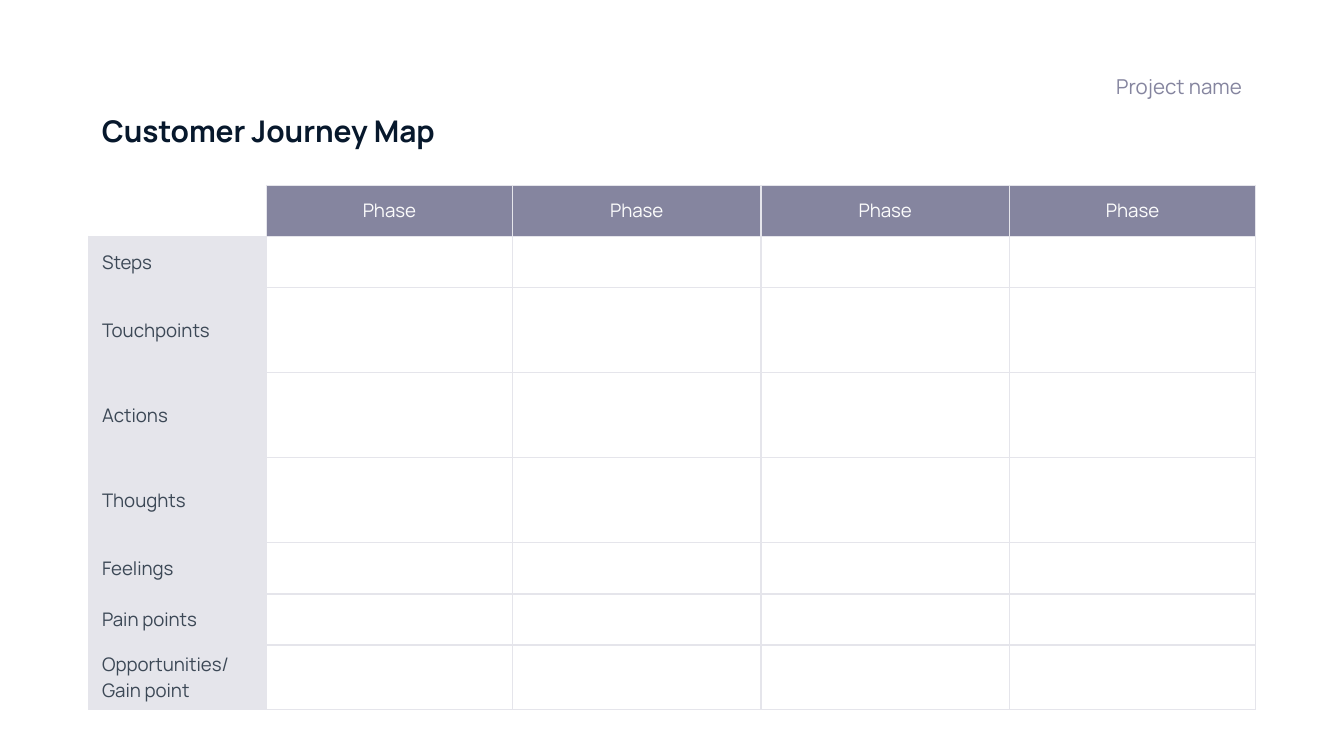
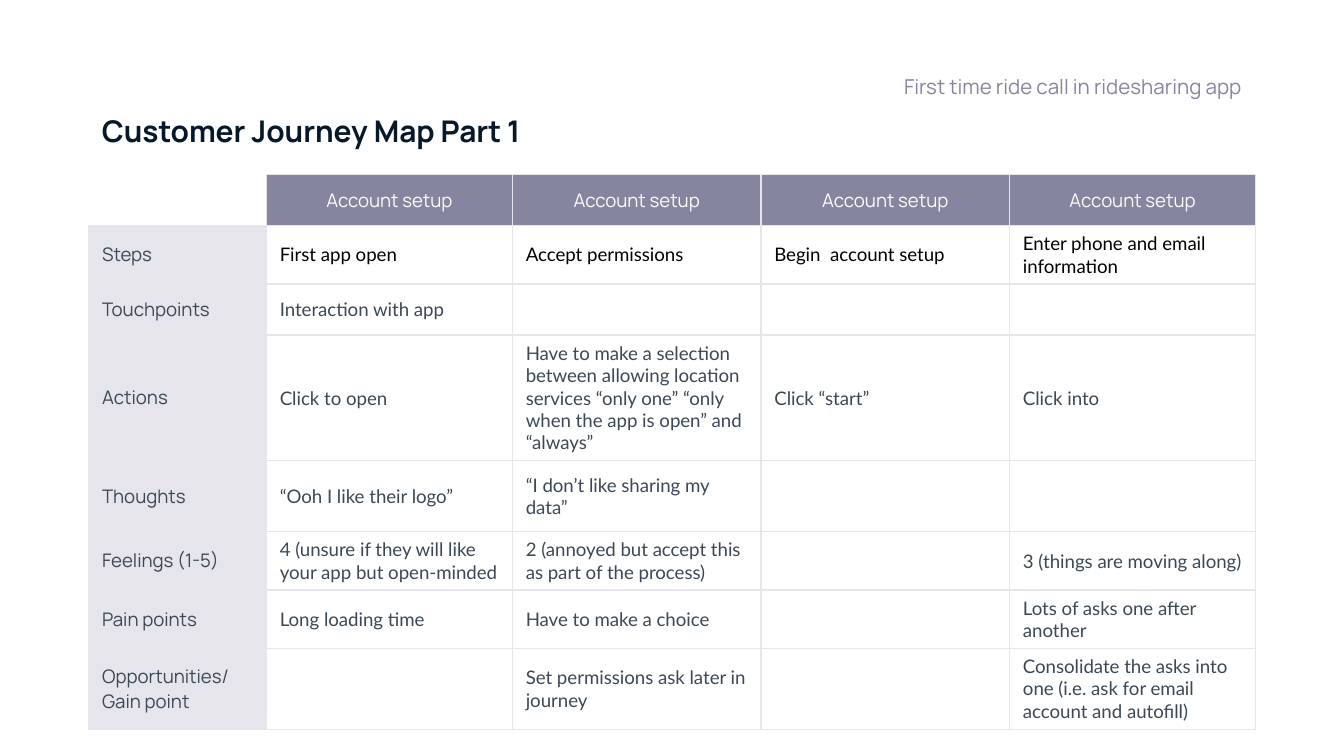
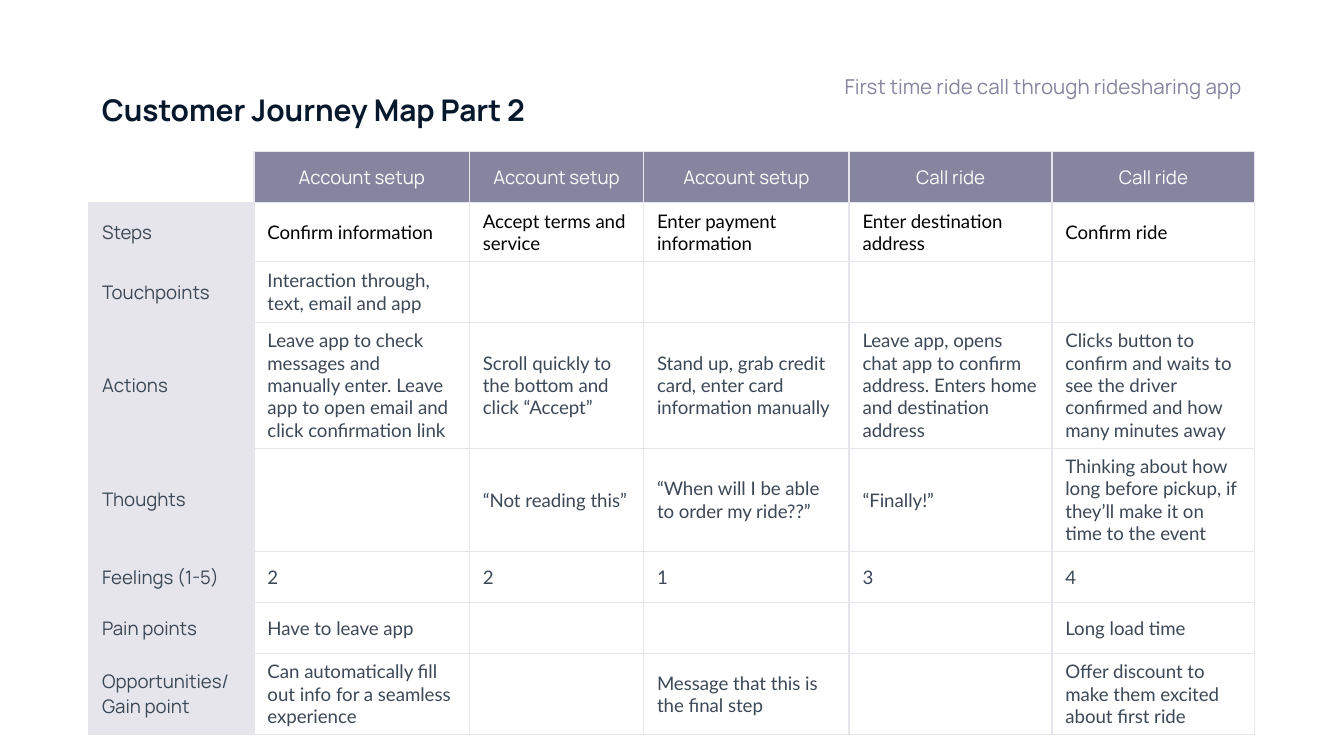
"""Build three customer journey map slides, each with a title, a project name and a table."""
import lxml.etree
import pptx
import pptx.dml.color
import pptx.enum.text
import pptx.oxml.ns
import pptx.util

Pt = pptx.util.Pt
RGBColor = pptx.dml.color.RGBColor
ALIGN = pptx.enum.text.PP_ALIGN
ANCHOR = pptx.enum.text.MSO_ANCHOR
qn = pptx.oxml.ns.qn

NAVY = RGBColor(0x07, 0x18, 0x2C)
PURPLE = RGBColor(0x85, 0x85, 0x9F)
PALE = RGBColor(0xE5, 0xE5, 0xEB)
SLATE = RGBColor(0x3C, 0x48, 0x56)
BLACK = RGBColor(0, 0, 0)
OFF_WHITE = RGBColor(0xFC, 0xFC, 0xFC)
HEAD_FONT, BODY_FONT = "Manrope", "Lato"
LEFT = 47.5
CELL_SIZE = 10
BORDER = 0.75

FOUR_PHASES = [95.2, 131.8, 133.2, 133.2, 131.8]
FIVE_PHASES = [88.6, 115.4, 93.3, 110.1, 108.7, 108.7]

MAPS = [
    {
        "title": "Customer Journey Map",
        "project": "Project name",
        "title_top": 53.3,
        "table_top": 99.3,
        "cols": FOUR_PHASES,
        "rows": [27.4, 27.4, 45.6, 45.6, 45.6, 27.4, 27.4, 34.6],
        "cells": [
            ["", "Phase", "Phase", "Phase", "Phase"],
            ["Steps", "", "", "", ""],
            ["Touchpoints", "", "", "", ""],
            ["Actions", "", "", "", ""],
            ["Thoughts", "", "", "", ""],
            ["Feelings", "", "", "", ""],
            ["Pain points", "", "", "", ""],
            ["Opportunities/Gain point", "", "", "", ""],
        ],
    },
    {
        "title": "Customer Journey Map Part 1",
        "project": "First time ride call in ridesharing app",
        "title_top": 53.3,
        "table_top": 93.5,
        "cols": FOUR_PHASES,
        "rows": [27.4, 31.2, 27.4, 67.2, 38, 31.2, 31.2, 43.2],
        "cells": [
            ["", "Account setup", "Account setup", "Account setup", "Account setup"],
            ["Steps", "First app open", "Accept permissions", "Begin  account setup",
             "Enter phone and email information"],
            ["Touchpoints", "Interaction with app", "", "", ""],
            ["Actions", "Click to open",
             "Have to make a selection between allowing location services “only one” "
             "“only when the app is open” and “always”",
             "Click “start”", "Click into"],
            ["Thoughts", "“Ooh I like their logo”", "“I don’t like sharing my data”", "", ""],
            ["Feelings (1-5)", "4 (unsure if they will like your app but open-minded",
             "2 (annoyed but accept this as part of the process)", "",
             "3 (things are moving along)"],
            ["Pain points", "Long loading time", "Have to make a choice", "",
             "Lots of asks one after another"],
            ["Opportunities/Gain point", "", "Set permissions ask later in journey", "",
             "Consolidate the asks into one (i.e. ask for email account and autofill)"],
        ],
    },
    {
        "title": "Customer Journey Map Part 2",
        "project": "First time ride call through ridesharing app",
        "title_top": 41.8,
        "table_top": 81.3,
        "cols": FIVE_PHASES,
        "rows": [27.4, 31.2, 32.9, 67.2, 55.2, 27.4, 27.4, 43.2],
        "cells": [
            ["", "Account setup", "Account setup", "Account setup", "Call ride", "Call ride"],
            ["Steps", "Confirm information", "Accept terms and service",
             "Enter payment information", "Enter destination address", "Confirm ride"],
            ["Touchpoints", "Interaction through, text, email and app", "", "", "", ""],
            ["Actions",
             "Leave app to check messages and manually enter. Leave app to open email "
             "and click confirmation link",
             "Scroll quickly to the bottom and click “Accept”",
             "Stand up, grab credit card, enter card information manually",
             "Leave app, opens chat app to confirm address. Enters home and destination address",
             "Clicks button to confirm and waits to see the driver confirmed "
             "and how many minutes away"],
            ["Thoughts", "", "“Not reading this”", "“When will I be able to order my ride??”",
             "“Finally!”",
             "Thinking about how long before pickup, if they’ll make it on time to the event"],
            ["Feelings (1-5)", "2", "2", "1", "3", "4"],
            ["Pain points", "Have to leave app", "", "", "", "Long load time"],
            ["Opportunities/Gain point",
             "Can automatically fill out info for a seamless experience", "",
             "Message that this is the final step", "",
             "Offer discount to make them excited about first ride"],
        ],
    },
]


def add_run(p, text, size, font, color, bold=False):
    r = p.add_run()
    r.text = text
    r.font.size = Pt(size)
    r.font.name = font
    r.font.bold = bold
    r.font.color.rgb = color


def add_heading(s, box, text, size, color, bold, align, anchor, bottom):
    sp = s.shapes.add_textbox(*map(Pt, box))
    tf = sp.text_frame
    tf.word_wrap = True
    tf.vertical_anchor = anchor
    tf.margin_left = tf.margin_right = tf.margin_top = Pt(7.2)
    tf.margin_bottom = Pt(bottom)
    p = tf.paragraphs[0]
    p.alignment = align
    add_run(p, text, size, HEAD_FONT, color, bold)


def set_borders(cell, sides):
    tc_pr = cell._tc.get_or_add_tcPr()
    for i, side in enumerate("LRTB"):
        ln = lxml.etree.Element(qn("a:ln" + side), w=str(Pt(BORDER)))
        if side in sides:
            fill = lxml.etree.SubElement(ln, qn("a:solidFill"))
            lxml.etree.SubElement(fill, qn("a:srgbClr"), val=str(PALE))
        else:
            lxml.etree.SubElement(ln, qn("a:noFill"))
        tc_pr.insert(i, ln)


def cell_style(row, col):
    """Return fill, font and text colour for a table cell."""
    if row == 0:
        return (PURPLE if col else None), HEAD_FONT, OFF_WHITE
    if col == 0:
        return PALE, HEAD_FONT, SLATE
    return None, BODY_FONT, BLACK if row == 1 else SLATE


def fill_cell(cell, text, row, col):
    fill, font, color = cell_style(row, col)
    if fill is None:
        cell.fill.background()
    else:
        cell.fill.solid()
        cell.fill.fore_color.rgb = fill
    set_borders(cell, "LRTB" if row or col else "RB")
    cell.vertical_anchor = ANCHOR.MIDDLE
    cell.margin_left = cell.margin_right = Pt(7.2)
    cell.margin_top = cell.margin_bottom = Pt(3.6)
    p = cell.text_frame.paragraphs[0]
    p.alignment = ALIGN.CENTER if row == 0 else ALIGN.LEFT
    if text:
        add_run(p, text, CELL_SIZE, font, color)
    else:
        lxml.etree.SubElement(p._p, qn("a:endParaRPr"), sz=str(CELL_SIZE * 100))


def add_journey_table(s, journey):
    cols, rows = journey["cols"], journey["rows"]
    box = (LEFT, journey["table_top"], sum(cols), sum(rows))
    table = s.shapes.add_table(len(rows), len(cols), *map(Pt, box)).table
    table.first_row = table.horz_banding = False
    for column, width in zip(table.columns, cols):
        column.width = Pt(width)
    for i, (height, texts) in enumerate(zip(rows, journey["cells"])):
        table.rows[i].height = Pt(height)
        for j, text in enumerate(texts):
            fill_cell(table.cell(i, j), text, i, j)


def main():
    prs = pptx.Presentation()
    prs.slide_width, prs.slide_height = Pt(720), Pt(405)
    for journey in MAPS:
        s = prs.slides.add_slide(prs.slide_layouts[6])
        add_heading(s, (LEFT, journey["title_top"], 467.3, 33.8), journey["title"],
                    16, NAVY, True, ALIGN.LEFT, ANCHOR.TOP, 7.2)
        add_heading(s, (360, 33.1, 312.5, 23.8), journey["project"],
                    11, PURPLE, False, ALIGN.RIGHT, ANCHOR.BOTTOM, 4.3)
        add_journey_table(s, journey)
    prs.save("out.pptx")


if __name__ == "__main__":
    main()
